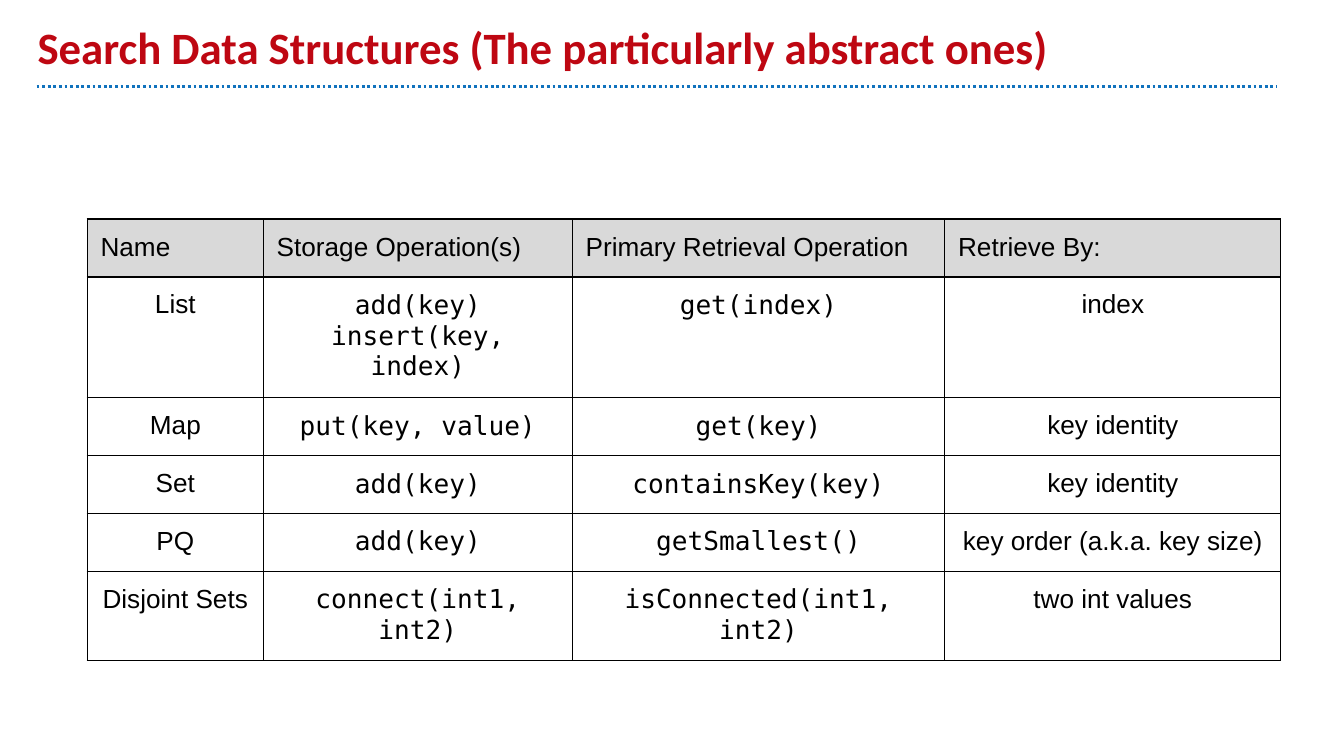
from lxml.etree import SubElement
from pptx import Presentation
from pptx.dml.color import RGBColor
from pptx.enum.dml import MSO_LINE
from pptx.enum.shapes import MSO_CONNECTOR
from pptx.enum.text import MSO_ANCHOR, PP_ALIGN
from pptx.oxml.ns import qn
from pptx.util import Cm, Pt

COLORS = {"title": "BE0712", "rule": "1072BD", "ink": "000000", "header": "D9D9D9"}
SANS, MONO = "Arial", "DejaVu Sans Mono"
INSET = Cm(0.25)
COLUMN_WIDTHS = (3.33, 5.84, 7.04, 6.35)
COLUMN_FONTS = (SANS, MONO, MONO, SANS)
HEADINGS = ("Name", "Storage Operation(s)", "Primary Retrieval Operation", "Retrieve By:")
STRUCTURES = (
    ("List", "add(key)\ninsert(key, index)", "get(index)", "index"),
    ("Map", "put(key, value)", "get(key)", "key identity"),
    ("Set", "add(key)", "containsKey(key)", "key identity"),
    ("PQ", "add(key)", "getSmallest()", "key order (a.k.a. key size)"),
    ("Disjoint Sets", "connect(int1, int2)", "isConnected(int1, int2)", "two int values"),
)


def color(name):
    """Return the named palette color."""
    return RGBColor.from_string(COLORS[name])


def set_insets(holder):
    """Give a text frame or cell equal margins."""
    holder.margin_left = holder.margin_right = INSET
    holder.margin_top = holder.margin_bottom = INSET


def write(frame, text, font, size, ink, align=PP_ALIGN.LEFT, bold=False):
    """Write each line of text as a paragraph with one styled run."""
    for number, line in enumerate(text.split("\n")):
        paragraph = frame.add_paragraph() if number else frame.paragraphs[0]
        paragraph.alignment = align
        run = paragraph.add_run()
        run.text = line
        run.font.name, run.font.size, run.font.bold = font, Pt(size), bold
        run.font.color.rgb = color(ink)


def add_heading(slide, left, top, width, height):
    """Place the slide title and the dotted rule beneath it."""
    title = slide.shapes.add_textbox(Cm(left), Cm(top), Cm(width), Cm(height))
    frame = title.text_frame
    frame.word_wrap = True
    frame.vertical_anchor = MSO_ANCHOR.BOTTOM
    set_insets(frame)
    write(frame, "Search Data Structures (The particularly abstract ones)",
          "Calibri", 24, "title", bold=True)

    rule_y = Cm(top + height)
    rule = slide.shapes.add_connector(
        MSO_CONNECTOR.STRAIGHT, Cm(left + 0.23), rule_y, Cm(left + width + 0.81), rule_y)
    rule.line.color.rgb = color("rule")
    rule.line.width = Pt(1.5)
    rule.line.dash_style = MSO_LINE.ROUND_DOT
    SubElement(rule._element.spPr, qn("a:effectLst"))


def add_borders(cell):
    """Draw a thin line on all four sides of a cell."""
    properties = cell._tc.get_or_add_tcPr()
    for side in ("a:lnL", "a:lnR", "a:lnT", "a:lnB"):
        border = SubElement(properties, qn(side), w=str(Pt(0.75)))
        fill = SubElement(border, qn("a:solidFill"))
        SubElement(fill, qn("a:srgbClr"), val=COLORS["ink"])


def add_structure_table(slide, left, top, width, height):
    """Place the table comparing the operations of each data structure."""
    rows = (HEADINGS, *STRUCTURES)
    table = slide.shapes.add_table(
        len(rows), len(HEADINGS), Cm(left), Cm(top), Cm(width), Cm(height)).table
    for column, share in zip(table.columns, COLUMN_WIDTHS):
        column.width = Cm(width * share / sum(COLUMN_WIDTHS))
    for row_number, texts in enumerate(rows):
        is_header = row_number == 0
        for column_number, text in enumerate(texts):
            cell = table.cell(row_number, column_number)
            set_insets(cell)
            add_borders(cell)
            if is_header:
                cell.fill.solid()
                cell.fill.fore_color.rgb = color("header")
            else:
                cell.fill.background()
            write(cell.text_frame, text, SANS if is_header else COLUMN_FONTS[column_number],
                  14, "ink", PP_ALIGN.LEFT if is_header else PP_ALIGN.CENTER)


def main():
    """Build and save the slide."""
    deck = Presentation()
    deck.slide_width, deck.slide_height = Cm(25.4), Cm(14.29)
    slide = deck.slides.add_slide(deck.slide_layouts[6])
    add_heading(slide, 0.46, 0.25, 22.86, 1.38)
    add_structure_table(slide, 1.65, 4.14, 22.56, 6.54)
    deck.save("out.pptx")


if __name__ == "__main__":
    main()
